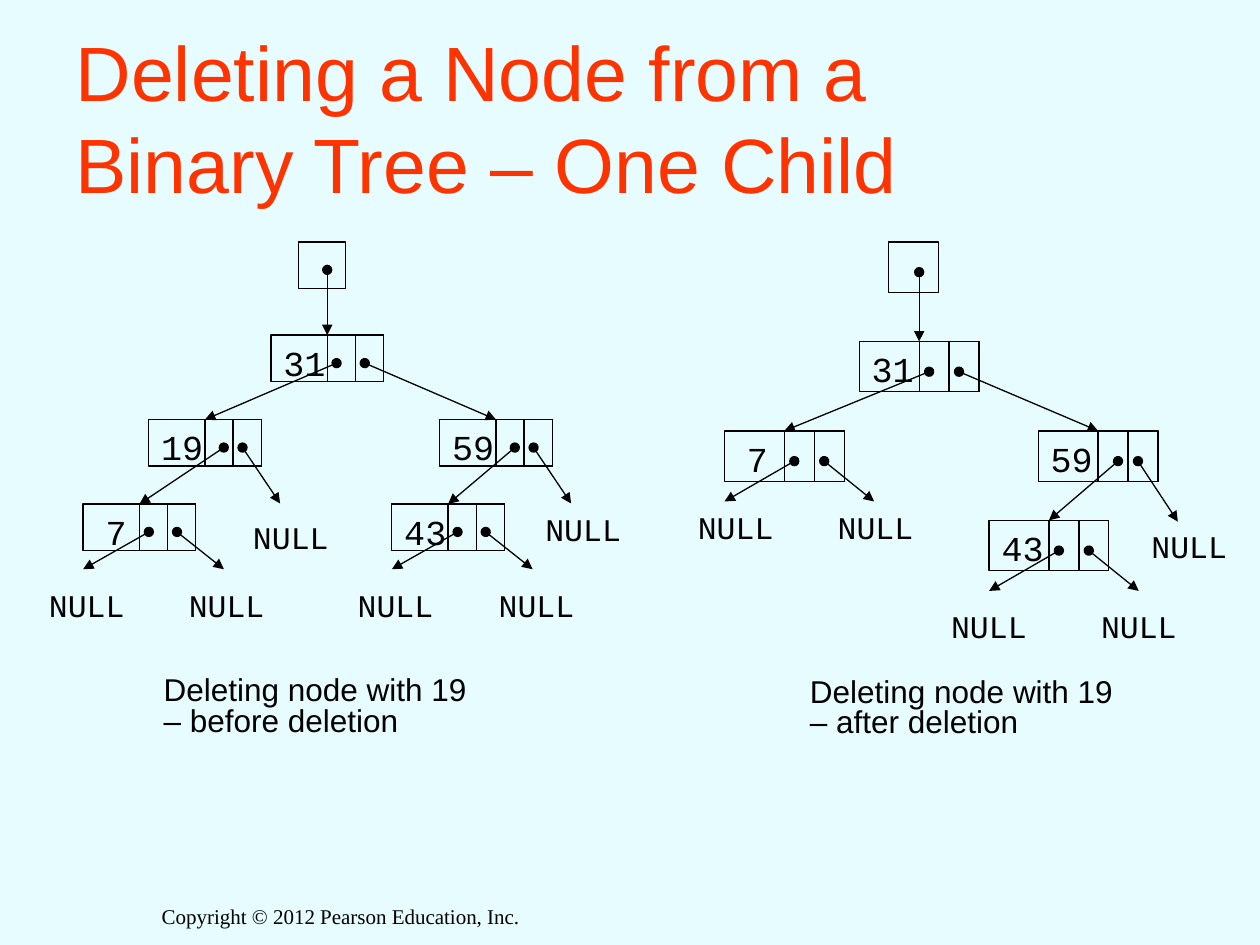
from dataclasses import dataclass

from lxml.etree import SubElement
from pptx import Presentation
from pptx.dml.color import RGBColor
from pptx.enum.shapes import MSO_CONNECTOR, MSO_SHAPE
from pptx.enum.text import MSO_ANCHOR, MSO_AUTO_SIZE, PP_ALIGN
from pptx.oxml.ns import qn
from pptx.util import Inches, Pt

BLACK = "000000"
CODE_FONT = "Courier New"
DOT_HEIGHT = 0.6  # pointer dots sit at this share of a box's height
RIGHT_DOT = 10 / 3  # in cells from the node's left edge
LEAF_LEFT_DOT, INNER_LEFT_DOT = 7 / 3, 8 / 3


@dataclass
class Node:
    value: str
    left: float
    top: float
    left_dot: float
    left_child: str = ""
    right_child: str = ""
    null_labels: tuple = ()


@dataclass
class Tree:
    cell: float
    height: float
    pointer_left: float
    nodes: list


BEFORE = Tree(0.2235, 0.37, 2.37, [
    Node("31", 2.15, 2.66, LEAF_LEFT_DOT, "19", "59"),
    Node("19", 1.18, 3.33, INNER_LEFT_DOT, "7", "", [(1.91, 4.06)]),
    Node("59", 3.49, 3.33, INNER_LEFT_DOT, "43", "", [(4.23, 4)]),
    Node("7", 0.66, 4, LEAF_LEFT_DOT, "", "", [(0.29, 4.6), (1.4, 4.6)]),
    Node("43", 3.11, 4, LEAF_LEFT_DOT, "", "", [(2.74, 4.6), (3.86, 4.6)]),
])
AFTER = Tree(0.2375, 0.4, 7.05, [
    Node("31", 6.82, 2.71, LEAF_LEFT_DOT, "7", "59"),
    Node("7", 5.75, 3.42, LEAF_LEFT_DOT, "", "", [(5.44, 3.98), (6.55, 3.98)]),
    Node("59", 8.24, 3.42, INNER_LEFT_DOT, "43", "", [(9.04, 4.13)]),
    Node("43", 7.85, 4.13, LEAF_LEFT_DOT, "", "", [(7.45, 4.77), (8.64, 4.77)]),
])


def color(hex_value):
    return RGBColor.from_string(hex_value)


def format_text(frame, text, size, font="Arial", hex_value=BLACK,
                align=PP_ALIGN.LEFT, spacing=None):
    frame.text = text
    paragraph = frame.paragraphs[0]
    paragraph.alignment = align
    if spacing:
        paragraph.line_spacing = spacing
    for span in paragraph.runs:
        span.font.size = Pt(size)
        span.font.name = font
        span.font.color.rgb = color(hex_value)


def add_text(shapes, text, left, top, width, height, size, wrap=True, **text_format):
    box = shapes.add_textbox(Inches(left), Inches(top), Inches(width), Inches(height))
    box.text_frame.word_wrap = wrap
    box.text_frame.auto_size = MSO_AUTO_SIZE.SHAPE_TO_FIT_TEXT
    format_text(box.text_frame, text, size, **text_format)


def add_box(shapes, left, top, width, height):
    box = shapes.add_shape(MSO_SHAPE.RECTANGLE, Inches(left), Inches(top),
                           Inches(width), Inches(height))
    box.shadow.inherit = False
    box.fill.background()
    box.line.color.rgb = color(BLACK)
    box.line.width = Pt(0.75)
    return box


def add_pointer(shapes, start, end, target=None):
    """Draw a dot-to-arrow link, joined to the top of target if there is one."""
    link = shapes.add_connector(MSO_CONNECTOR.STRAIGHT, *map(Inches, start + end))
    if target is not None:
        link.end_connect(target, 0)
    link.line.color.rgb = color(BLACK)
    link.line.width = Pt(0.75)
    properties = link.element.spPr
    outline = properties.find(qn("a:ln"))
    SubElement(outline, qn("a:headEnd"), type="oval")
    SubElement(outline, qn("a:tailEnd"), type="triangle")
    SubElement(properties, qn("a:effectLst"))


def add_node_box(shapes, tree, node):
    """Draw a node: two cells for the value, one for each pointer."""
    body = add_box(shapes, node.left, node.top, 4 * tree.cell, tree.height)
    for column in (2, 3):
        add_box(shapes, node.left + column * tree.cell, node.top, tree.cell, tree.height)
    return body


def add_node_links(shapes, tree, node, bodies):
    places = {other.value: other for other in tree.nodes}
    dot_top = node.top + DOT_HEIGHT * tree.height
    is_leaf = not node.left_child
    null_columns = (0, 5) if is_leaf else (0, 14 / 3)
    null_top = node.top + (1.4 if is_leaf else 1.8) * tree.height
    sides = zip((node.left_dot, RIGHT_DOT), (node.left_child, node.right_child), null_columns)
    for dot, child, null_column in sides:
        start = (node.left + dot * tree.cell, dot_top)
        if child:
            end = (places[child].left + 2 * tree.cell, places[child].top)
        else:
            end = (node.left + null_column * tree.cell, null_top)
        add_pointer(shapes, start, end, bodies.get(child))


def add_node_labels(shapes, node):
    is_single = len(node.value) == 1
    add_text(shapes, node.value, node.left + (0.08 if is_single else 0), node.top,
             0.37 if is_single else 0.55, 0.44, 20, wrap=False, font=CODE_FONT)
    for left, top in node.null_labels:
        add_text(shapes, "NULL", left, top, 0.8, 0.4, 18, wrap=False, font=CODE_FONT)


def add_tree(page, tree):
    shapes = page.shapes.add_group_shape().shapes
    pointer_top = 1.92
    add_box(shapes, tree.pointer_left, pointer_top, tree.height, tree.height)
    bodies = {node.value: add_node_box(shapes, tree, node) for node in tree.nodes}
    root = tree.nodes[0]
    middle = root.left + 2 * tree.cell
    add_pointer(shapes, (middle, pointer_top + DOT_HEIGHT * tree.height),
                (middle, root.top), bodies[root.value])
    for node in tree.nodes:
        add_node_links(shapes, tree, node, bodies)
        add_node_labels(shapes, node)


def add_title(page, text):
    title = page.shapes.title
    title.left, title.top, title.width, title.height = map(Inches, (0.5, 0.3, 9, 1.25))
    title.text_frame.vertical_anchor = MSO_ANCHOR.MIDDLE
    title.text_frame.auto_size = MSO_AUTO_SIZE.NONE
    format_text(title.text_frame, text, 44, hex_value="FF3300")


def main():
    deck = Presentation()
    deck.slide_width, deck.slide_height = Inches(10), Inches(7.5)
    page = deck.slides.add_slide(deck.slide_layouts[5])
    page.background.fill.solid()
    page.background.fill.fore_color.rgb = color("E6FCFE")

    add_text(page.shapes, "Copyright © 2012 Pearson Education, Inc.", 1.08, 7.12, 3.25, 0.61,
             12, font="Times New Roman", align=PP_ALIGN.CENTER)
    add_title(page, "Deleting a Node from a \vBinary Tree – One Child")
    for tree, stage, left, top in ((BEFORE, "before", 1.2, 5.33), (AFTER, "after", 6.33, 5.34)):
        add_tree(page, tree)
        add_text(page.shapes, f"Deleting node with 19 – {stage} deletion", left, top,
                 2.77, 0.58, 18, spacing=0.8)
    deck.save("out.pptx")


if __name__ == "__main__":
    main()
